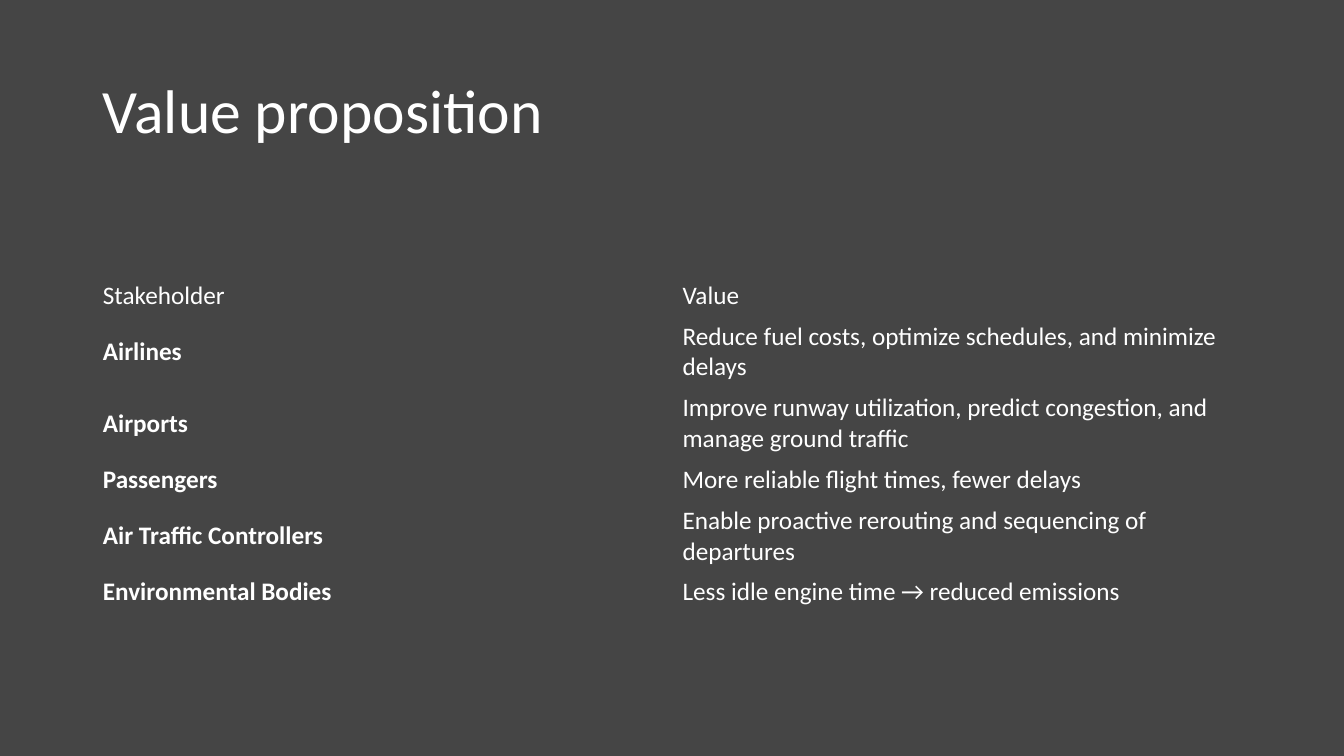
import dataclasses

import pptx
import pptx.dml.color
import pptx.enum.text
import pptx.util

Inches = pptx.util.Inches


@dataclasses.dataclass(frozen=True)
class Theme:
    font: str = "Calibri"
    background: str = "454545"
    text: str = "FFFFFF"
    title_size: int = 44
    table_size: int = 18
    table_style: str = "{2D5ABB26-0587-4C30-8999-92F81FD0307C}"


class SlideBuilder:
    def __init__(self, slide, theme):
        self.slide = slide
        self.theme = theme

    def background(self):
        fill = self.slide.background.fill
        fill.solid()
        fill.fore_color.rgb = pptx.dml.color.RGBColor.from_string(self.theme.background)

    def format_text(self, frame, size, bold=False):
        frame.vertical_anchor = pptx.enum.text.MSO_ANCHOR.MIDDLE
        for para in frame.paragraphs:
            para.alignment = pptx.enum.text.PP_ALIGN.LEFT
            for span in para.runs:
                span.font.name = self.theme.font
                span.font.size = pptx.util.Pt(size)
                span.font.bold = bold
                span.font.color.rgb = pptx.dml.color.RGBColor.from_string(self.theme.text)

    def title(self, text, left, top, width, height):
        box = self.slide.shapes.title
        box.left, box.top = Inches(left), Inches(top)
        box.width, box.height = Inches(width), Inches(height)
        box.text_frame.text = text
        box.text_frame.paragraphs[0].line_spacing = 0.9
        self.format_text(box.text_frame, self.theme.title_size)

    def table(self, rows, row_heights, left, top, width):
        frame = self.slide.shapes.add_table(
            len(rows), len(rows[0]), Inches(left), Inches(top),
            Inches(width), Inches(sum(row_heights)))
        table = frame.table
        table.first_row = False
        table.horz_banding = False
        table._tbl.tblPr.find(pptx.oxml.ns.qn("a:tableStyleId")).text = self.theme.table_style
        for row_index, (values, height) in enumerate(zip(rows, row_heights)):
            table.rows[row_index].height = Inches(height)
            for column_index, value in enumerate(values):
                cell = table.cell(row_index, column_index)
                cell.fill.background()
                cell.text_frame.text = value
                cell.vertical_anchor = pptx.enum.text.MSO_ANCHOR.MIDDLE
                is_stakeholder = row_index > 0 and column_index == 0
                self.format_text(cell.text_frame, self.theme.table_size, is_stakeholder)


STAKEHOLDER_VALUES = [
    ("Stakeholder", "Value"),
    ("Airlines", "Reduce fuel costs, optimize schedules, and minimize delays"),
    ("Airports", "Improve runway utilization, predict congestion, and manage ground traffic"),
    ("Passengers", "More reliable flight times, fewer delays"),
    ("Air Traffic Controllers", "Enable proactive rerouting and sequencing of departures"),
    ("Environmental Bodies", "Less idle engine time → reduced emissions"),
]
ONE_LINE, TWO_LINES = 0.4, 0.7
ROW_HEIGHTS = [ONE_LINE, TWO_LINES, TWO_LINES, ONE_LINE, TWO_LINES, ONE_LINE]
MARGIN, CONTENT_WIDTH = 0.92, 11.5


def main():
    deck = pptx.Presentation()
    deck.slide_width, deck.slide_height = Inches(13.33), Inches(7.5)
    title_only = deck.slide_layouts.get_by_name("Title Only")
    page = SlideBuilder(deck.slides.add_slide(title_only), Theme())
    page.background()
    page.title("Value proposition", MARGIN, 0.4, CONTENT_WIDTH, 1.45)
    page.table(STAKEHOLDER_VALUES, ROW_HEIGHTS, MARGIN, 2.73, CONTENT_WIDTH)
    deck.save("out.pptx")


if __name__ == "__main__":
    main()
